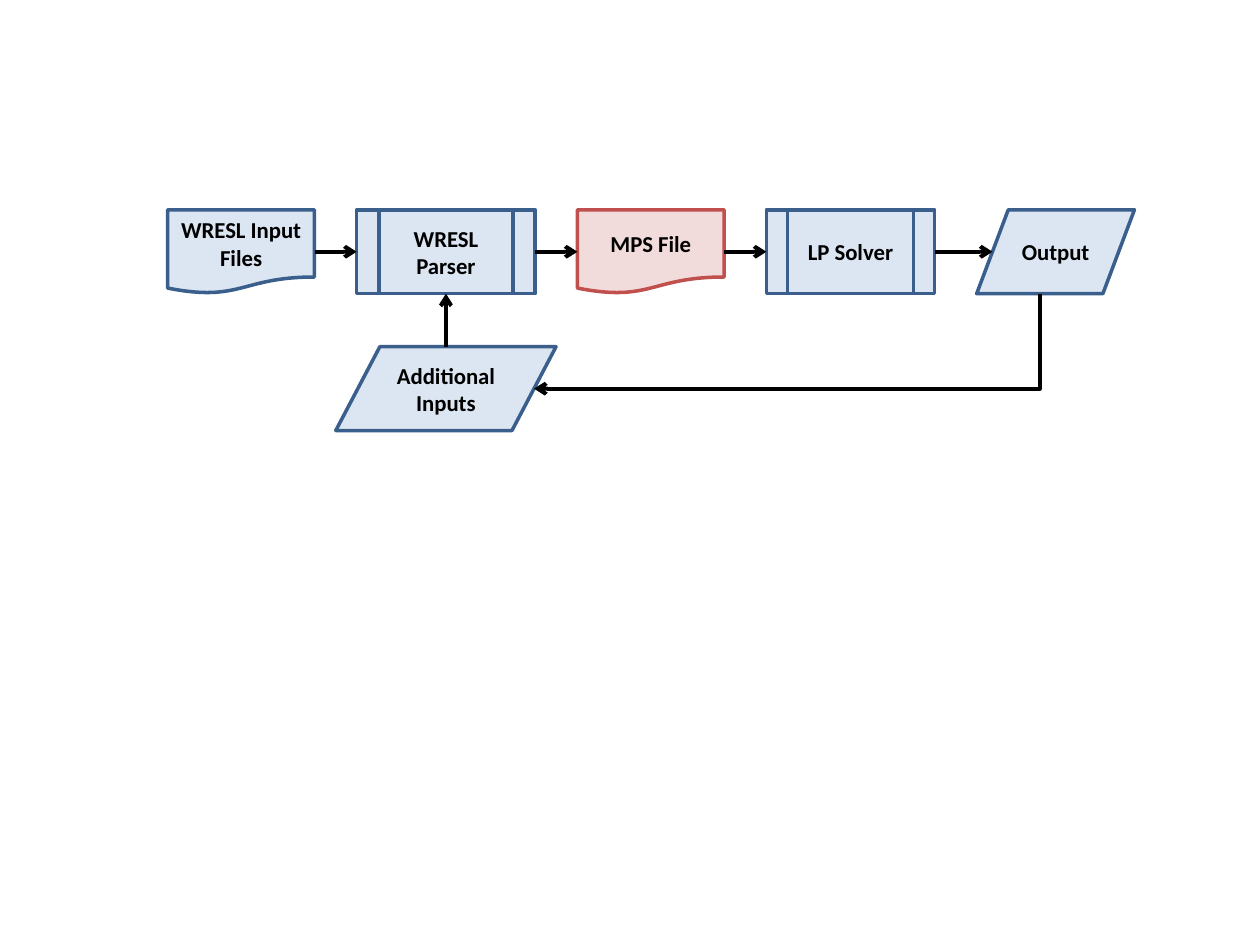
from pptx import Presentation
from pptx.dml.color import RGBColor
from pptx.enum.shapes import MSO_CONNECTOR, MSO_SHAPE
from pptx.enum.text import MSO_ANCHOR, PP_ALIGN
from pptx.oxml.ns import qn
from pptx.util import Cm, Pt
from lxml.etree import SubElement

PALE_BLUE = RGBColor(0xDC, 0xE6, 0xF2)
BLUE = RGBColor(0x3A, 0x5F, 0x8C)
PALE_RED = RGBColor(0xF2, 0xDC, 0xDB)
RED = RGBColor(0xC0, 0x50, 0x4D)
BLACK = RGBColor(0, 0, 0)

DOCUMENT = MSO_SHAPE.FLOWCHART_DOCUMENT
PROCESS = MSO_SHAPE.FLOWCHART_PREDEFINED_PROCESS
DATA = MSO_SHAPE.FLOWCHART_DATA

# label, kind, width in cm, fill, outline
STEPS = [
    ("WRESL Input Files", DOCUMENT, 2.96, PALE_BLUE, BLUE),
    ("WRESL Parser", PROCESS, 3.6, PALE_BLUE, BLUE),
    ("MPS File", DOCUMENT, 2.96, PALE_RED, RED),
    ("LP Solver", PROCESS, 3.39, PALE_BLUE, BLUE),
    ("Output", DATA, 3.18, PALE_BLUE, BLUE),
]
FEEDBACK = "Additional Inputs"
FEEDBACK_WIDTH = Cm(4.44)

ROW_LEFT, ROW_TOP, FEEDBACK_TOP = Cm(3.38), Cm(4.23), Cm(6.99)
STEP_HEIGHT, GAP = Cm(1.69), Cm(0.85)
SLANT_MIDDLE = 0.1  # share of a data box's width cut off at mid height
DATA_FOOT = 0.4     # centre of a data box's bottom edge
TOP, LEFT, BOTTOM, RIGHT = range(4)


def write_text(shape, text, size=13, font="Calibri", color=BLACK, bold=True):
    """Write centred text into a shape."""
    frame = shape.text_frame
    frame.word_wrap = True
    frame.vertical_anchor = MSO_ANCHOR.MIDDLE
    paragraph = frame.paragraphs[0]
    paragraph.alignment = PP_ALIGN.CENTER
    run = paragraph.add_run()
    run.text = text
    run.font.name, run.font.size, run.font.bold = font, Pt(size), bold
    run.font.color.rgb = color


def add_step(slide, label, kind, left, top, width, fill=PALE_BLUE, outline=BLUE):
    """Add one labelled flowchart box."""
    step = slide.shapes.add_shape(kind, left, top, width, STEP_HEIGHT)
    step.shadow.inherit = False
    step.fill.solid()
    step.fill.fore_color.rgb = fill
    step.line.color.rgb = outline
    step.line.width = Pt(2)
    write_text(step, label)
    return step


def add_arrow(slide, start, end, kind=MSO_CONNECTOR.STRAIGHT):
    """Add a black connector with an arrowhead at its end."""
    arrow = slide.shapes.add_connector(kind, *start, *end)
    arrow.line.color.rgb = BLACK
    arrow.line.width = Pt(2.25)
    SubElement(arrow.line._get_or_add_ln(), qn("a:tailEnd"), type="arrow")
    SubElement(arrow._element.spPr, qn("a:effectLst"))
    return arrow


def add_corner_arrow(slide, start, end):
    """Add an arrow that runs down from start, then left to end."""
    across, down = start[0] - end[0], end[1] - start[1]
    center_x, center_y = (start[0] + end[0]) // 2, (start[1] + end[1]) // 2
    left, top = center_x - down // 2, center_y - across // 2
    arrow = add_arrow(slide, (left, top), (left + down, top + across),
                      MSO_CONNECTOR.ELBOW)
    properties = arrow._element.spPr
    properties.find(qn("a:xfrm")).set("rot", str(90 * 60000))
    properties.find(qn("a:prstGeom")).set("prst", "bentConnector2")


def main():
    """Build the flowchart slide."""
    deck = Presentation()
    deck.slide_width, deck.slide_height = Cm(25.4), Cm(19.05)
    slide = deck.slides.add_slide(deck.slide_layouts[6])

    steps, left = [], ROW_LEFT
    for label, kind, width, fill, outline in STEPS:
        steps.append(add_step(slide, label, kind, left, ROW_TOP, Cm(width),
                              fill, outline))
        left += Cm(width) + GAP

    parser, output = steps[1], steps[-1]
    parser_center = parser.left + parser.width // 2
    feedback = add_step(slide, FEEDBACK, DATA, parser_center - FEEDBACK_WIDTH // 2,
                        FEEDBACK_TOP, FEEDBACK_WIDTH)

    middle = ROW_TOP + STEP_HEIGHT // 2
    row_bottom = ROW_TOP + STEP_HEIGHT
    for source, target in zip(steps, steps[1:]):
        inset = int(target.width * SLANT_MIDDLE) if target is output else 0
        arrow = add_arrow(slide, (source.left + source.width, middle),
                          (target.left + inset, middle))
        arrow.begin_connect(source, RIGHT)
        if target is not output:
            arrow.end_connect(target, LEFT)

    upward = add_arrow(slide, (parser_center, FEEDBACK_TOP),
                       (parser_center, row_bottom))
    upward.end_connect(parser, BOTTOM)
    add_corner_arrow(
        slide,
        (output.left + int(output.width * DATA_FOOT), row_bottom),
        (feedback.left + int(feedback.width * (1 - SLANT_MIDDLE)),
         FEEDBACK_TOP + STEP_HEIGHT // 2))

    deck.save("out.pptx")


main()
